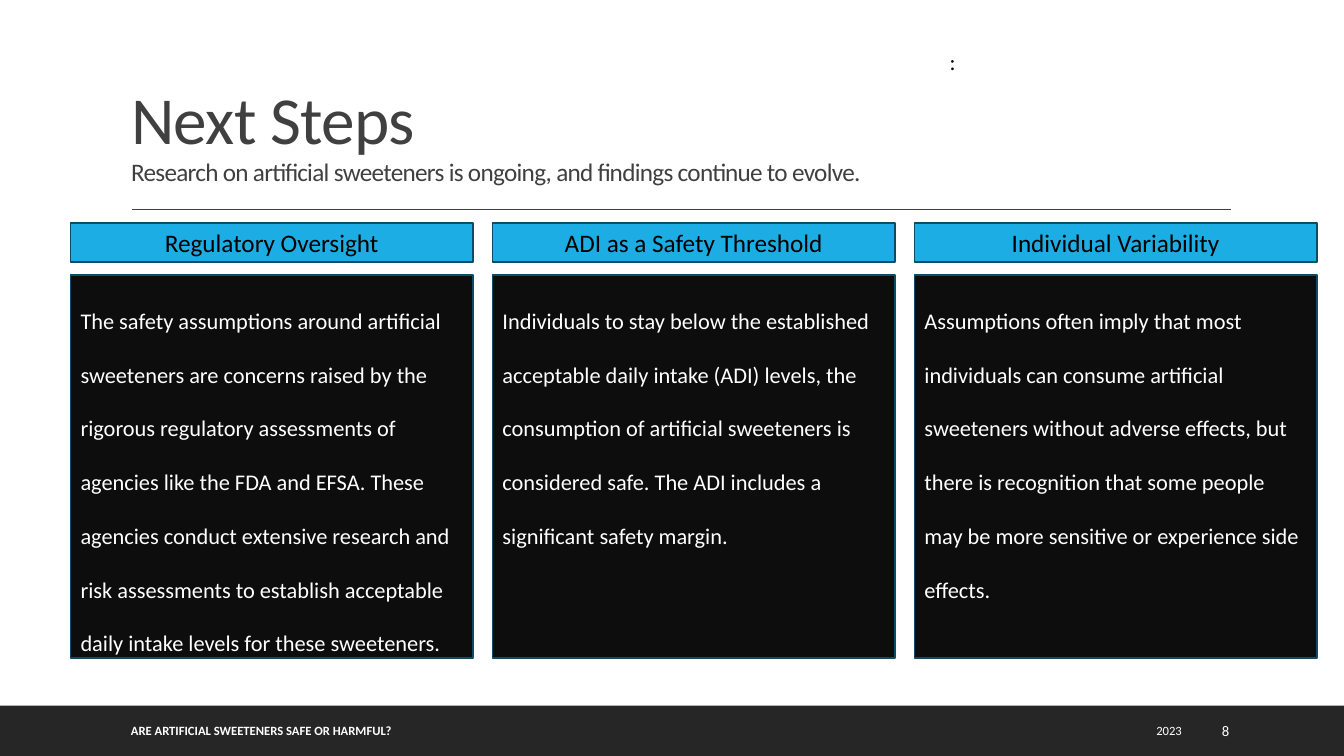
from dataclasses import dataclass

from lxml.etree import SubElement
from pptx import Presentation
from pptx.dml.color import RGBColor
from pptx.enum.shapes import MSO_CONNECTOR, MSO_SHAPE
from pptx.enum.text import MSO_ANCHOR, MSO_AUTO_SIZE, PP_ALIGN
from pptx.oxml.ns import qn
from pptx.util import Inches, Pt


@dataclass(frozen=True)
class Theme:
    font: str = "Calibri"
    white: str = "FFFFFF"
    black: str = "000000"
    heading: str = "404040"
    footer: str = "262626"
    panel: str = "0D0D0D"
    accent: str = "1CADE4"
    outline: str = "0C4C64"
    title_size: float = 48
    subtitle_size: float = 18
    header_size: float = 18
    body_size: float = 16
    footer_size: float = 9
    number_size: float = 10.5


THEME = Theme()

COLUMNS = [
    ("Regulatory Oversight",
     "The safety assumptions around artificial sweeteners are concerns raised by the rigorous "
     "regulatory assessments of agencies like the FDA and EFSA. These agencies conduct extensive "
     "research and risk assessments to establish acceptable daily intake levels for these "
     "sweeteners."),
    ("ADI as a Safety Threshold",
     "Individuals to stay below the established acceptable daily intake (ADI) levels, the "
     "consumption of artificial sweeteners is considered safe. The ADI includes a significant "
     "safety margin."),
    ("Individual Variability",
     "Assumptions often imply that most individuals can consume artificial sweeteners without "
     "adverse effects, but there is recognition that some people may be more sensitive or "
     "experience side effects."),
]


def color(value):
    return RGBColor.from_string(value)


def add_run(paragraph, text, size, text_color, bold=False):
    run = paragraph.add_run()
    run.text = text
    run.font.name = THEME.font
    run.font.size = Pt(size)
    run.font.bold = bold
    run.font.color.rgb = color(text_color)
    return run


def write(shape, text, size, text_color, align=PP_ALIGN.LEFT, anchor=MSO_ANCHOR.TOP,
          bold=False, spaced=False):
    """Fill a shape with one paragraph; spaced means double line spacing."""
    frame = shape.text_frame
    frame.word_wrap = True
    frame.vertical_anchor = anchor
    paragraph = frame.paragraphs[0]
    paragraph.alignment = align
    if spaced:
        paragraph.line_spacing = 2.0
        paragraph.space_after = Pt(8)
    add_run(paragraph, text, size, text_color, bold)


def add_text(slide, box, *args, **options):
    shape = slide.shapes.add_textbox(*map(Inches, box))
    write(shape, *args, **options)


def add_rectangle(slide, box, fill, line=None):
    shape = slide.shapes.add_shape(MSO_SHAPE.RECTANGLE, *map(Inches, box))
    shape.shadow.inherit = False
    shape.fill.solid()
    shape.fill.fore_color.rgb = color(fill)
    if line:
        shape.line.color.rgb = color(line)
        shape.line.width = Pt(1.25)
    else:
        shape.line.fill.background()
    return shape


def add_title(slide, box):
    left, top, width, height = box
    title = slide.shapes.title
    title.left, title.top, title.width, title.height = map(Inches, box)
    frame = title.text_frame
    frame.word_wrap = True
    frame.auto_size = MSO_AUTO_SIZE.NONE
    frame.vertical_anchor = MSO_ANCHOR.BOTTOM
    paragraph = frame.paragraphs[0]
    paragraph.alignment = PP_ALIGN.LEFT
    paragraph.line_spacing = 0.9
    heading = add_run(paragraph, "Next Steps", THEME.title_size, THEME.heading)
    paragraph.add_line_break()
    subtitle = add_run(
        paragraph, "Research on artificial sweeteners is ongoing, and findings continue to evolve.",
        THEME.subtitle_size, THEME.heading)
    for run in (heading, subtitle):
        run.font._element.set("spc", "-50")

    rule_top = Inches(top + height + 0.18)
    rule = slide.shapes.add_connector(
        MSO_CONNECTOR.STRAIGHT, Inches(left + 0.11), rule_top,
        Inches(left + width + 0.01), rule_top)
    rule.line.color.rgb = color(THEME.heading)
    rule.line.width = Pt(1)
    SubElement(rule._element.spPr, qn("a:effectLst"))


def add_column(slide, box, header, body):
    left, top, width, height = box
    panel_box = (left, top + 0.52, width, height - 0.52)
    add_rectangle(slide, panel_box, THEME.panel, THEME.outline)
    add_text(slide, (left, top + 0.52, width - 0.07, height - 0.52), body,
             THEME.body_size, THEME.white, spaced=True)
    header_bar = add_rectangle(slide, (left, top, width, 0.39), THEME.accent, THEME.outline)
    write(header_bar, header, THEME.header_size, THEME.black, PP_ALIGN.CENTER,
          MSO_ANCHOR.BOTTOM, spaced=True)


def add_footer(slide, box):
    left, top, width, height = box
    add_rectangle(slide, box, THEME.footer)
    entries = [
        (1.2, 7.46, "ARE ARTIFICIAL SWEETENERS SAFE OR HARMFUL?", THEME.footer_size,
         PP_ALIGN.LEFT, True),
        (8.99, 2.83, "2023", THEME.footer_size, PP_ALIGN.RIGHT, False),
        (12.02, 0.85, "8", THEME.number_size, PP_ALIGN.LEFT, False),
    ]
    for offset, entry_width, text, size, align, bold in entries:
        add_text(slide, (left + offset, top + 0.05, entry_width, height - 0.1), text, size,
                 THEME.white, align, MSO_ANCHOR.MIDDLE, bold)


def build_next_steps(presentation):
    slide = presentation.slides.add_slide(presentation.slide_layouts[5])
    slide.background.fill.solid()
    slide.background.fill.fore_color.rgb = color(THEME.white)
    add_footer(slide, (0, 7, 13.33, 0.5))
    add_title(slide, (1.2, 0.31, 11, 1.59))
    add_text(slide, (9.32, 0.16, 3.14, 0.56), ":", THEME.body_size, THEME.black, spaced=True)
    for index, (header, body) in enumerate(COLUMNS):
        add_column(slide, (0.7 + index * 4.185, 2.21, 3.99, 4.32), header, body)


def main():
    presentation = Presentation()
    presentation.slide_width = Inches(13.33)
    presentation.slide_height = Inches(7.5)
    build_next_steps(presentation)
    presentation.save("out.pptx")


if __name__ == "__main__":
    main()
